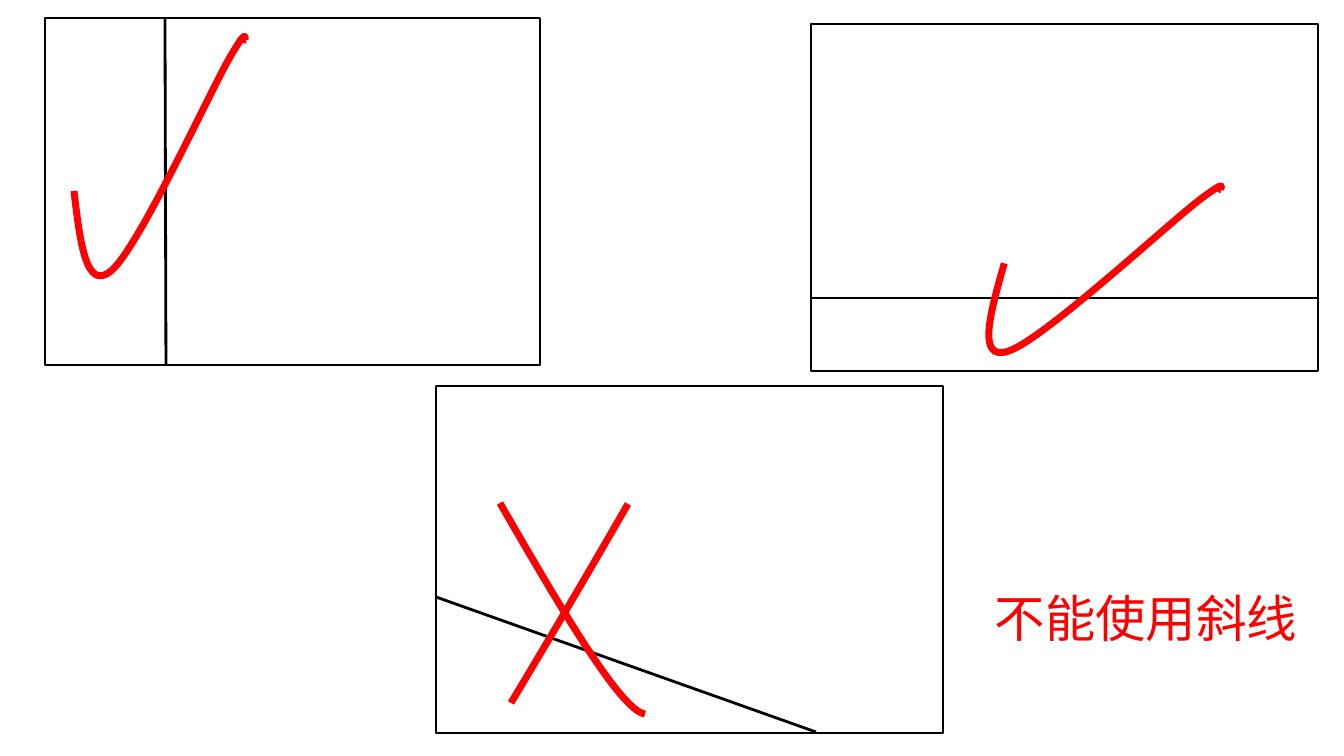
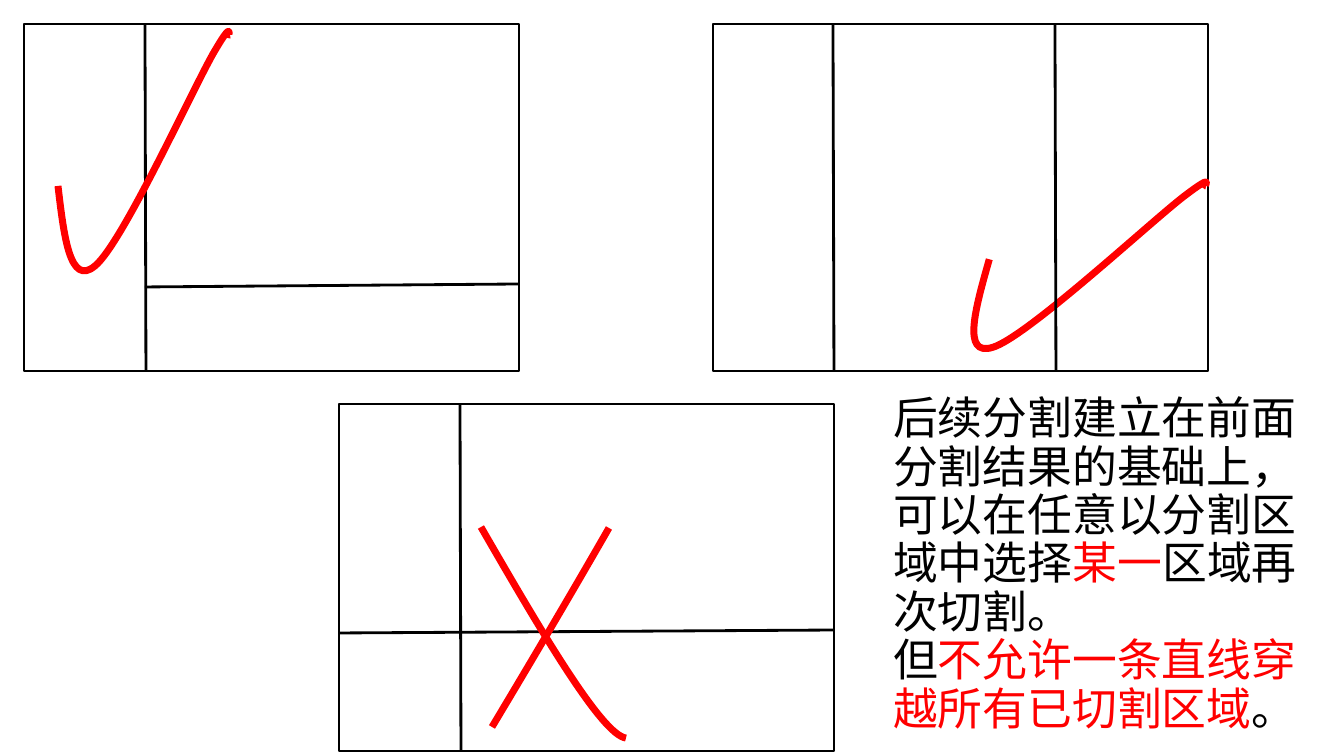
import pptx
import pptx.util
import pptx.dml.color
import pptx.enum.shapes
import pptx.enum.text
import pptx.oxml
import pptx.oxml.ns

SCALE = 914400 / 100.8
SIZE = (1344, 756)
HEX = {"ink": "000000", "red": "FF0000"}
THIN, THICK = 2, 5
WIDE, SLIM, TALL = 507, 495, 347
TILT = 22.6

# Each stroke: left, top, width, height, start point, cubic curves
TICK = [(0, 0, 172, 239, (0, 154), [
    ((6, 205), (12, 255), (37, 234)),
    ((64, 212), (133, 61), (155, 22)),
    ((177, -16), (169, 6), (172, 3))])]
CROSS = [
    (0, 0, 145, 211, (0, 0), [((60, 104), (121, 208), (145, 211))]),
    (11, 1, 117, 199, (117, 0), [((70, 82), (21, 164), (0, 199))])]

ALIGN = pptx.enum.text.PP_ALIGN
SLIDES = [
    {"items": [
        ("frame", 436, 386, WIDE, []),
        ("frame", 45, 18, SLIM, [(165, 18, 166, 364)]),
        ("frame", 811, 24, WIDE, [(1319, 298, 811, 298)]),
        ("cut", 816, 732, 436, 597),
        ("mark", 74, 37, TICK, 0),
        ("mark", 1011, 145, TICK, TILT),
        ("mark", 500, 503, CROSS, 0)],
     "box": (972, 586, 348, 70), "size": 36, "align": ALIGN.CENTER,
     "text": [[("不能使用斜线", "red")]]},
    {"items": [
        ("frame", 24, 24, SLIM, [(145, 24, 146, 371)]),
        ("frame", 713, 24, SLIM, [(833, 24, 834, 371)]),
        ("mark", 58, 32, TICK, 0),
        ("mark", 996, 141, TICK, TILT),
        ("cut", 1055, 24, 1056, 371),
        ("cut", 519, 284, 145, 287),
        ("frame", 339, 404, SLIM, [(460, 404, 461, 750)]),
        ("cut", 835, 630, 339, 633),
        ("mark", 481, 527, CROSS, 0)],
     "box": (883, 393, 442, 345), "size": 32, "align": ALIGN.LEFT,
     "text": [
         [("后续分割建立在前面分割结果的基础上，可以在任意以分割区域中选择", "ink"),
          ("某一", "red"), ("区域再次切割。", "ink")],
         [("但", "ink"), ("不允许一条直线穿越所有已切割区域", "red"), ("。", "ink")]]},
]


def px(*nums):
    return [pptx.util.Emu(round(n * SCALE)) for n in nums]


def tint(hue):
    return pptx.dml.color.RGBColor.from_string(HEX[hue])


def style(thing, values):
    for name, value in values.items():
        setattr(thing, name, value)


def pen(shape, hue, width):
    shape.line.color.rgb = tint(hue)
    shape.line.width = pptx.util.Pt(width)


def node(tag, *spots):
    """Make a drawing element that holds the given points."""
    pts = "".join('<a:pt x="%d" y="%d"/>' % spot for spot in spots)
    return pptx.oxml.parse_xml("<a:%s %s>%s</a:%s>" % (
        tag, pptx.oxml.ns.nsdecls("a"), pts, tag))


def cut(shapes, *ends):
    kind = pptx.enum.shapes.MSO_CONNECTOR.STRAIGHT
    line = shapes.add_connector(kind, *px(*ends))
    pen(line, "ink", THIN)
    line._element.spPr.append(node("effectLst"))


def frame(shapes, left, top, width, cuts):
    if cuts:
        shapes = shapes.add_group_shape().shapes
    kind = pptx.enum.shapes.MSO_SHAPE.RECTANGLE
    rect = shapes.add_shape(kind, *px(left, top, width, TALL))
    rect.shadow.inherit = False
    rect.fill.background()
    pen(rect, "ink", THIN)
    for ends in cuts:
        cut(shapes, *ends)


def curve(shape, start, bends):
    """Replace the straight outline of a freeform by cubic curves."""
    track = shape._element.find(".//" + pptx.oxml.ns.qn("a:path"))
    for old in list(track):
        track.remove(old)
    track.append(node("moveTo", start))
    for bend in bends:
        track.append(node("cubicBezTo", *bend))


def mark(shapes, left, top, strokes, turn):
    if len(strokes) > 1:
        shapes = shapes.add_group_shape().shapes
    for dx, dy, width, height, start, bends in strokes:
        x, y = left + dx, top + dy
        form = shapes.build_freeform(x, y, scale=SCALE)
        form.add_line_segments([(x + width, y + height)], close=False)
        shape = form.convert_to_shape()
        curve(shape, start, bends)
        shape.shadow.inherit = False
        shape.fill.background()
        pen(shape, "red", THICK)
        shape.rotation = turn


def write(title, page):
    style(title, dict(zip(("left", "top", "width", "height"), px(*page["box"]))))
    body = title.text_frame
    style(body, {"word_wrap": True,
                 "auto_size": pptx.enum.text.MSO_AUTO_SIZE.NONE,
                 "vertical_anchor": pptx.enum.text.MSO_ANCHOR.MIDDLE})
    lines = {"alignment": page["align"], "line_spacing": 0.9}
    font = {"name": "Calibri", "size": pptx.util.Pt(page["size"])}
    for i, runs in enumerate(page["text"]):
        para = body.add_paragraph() if i else body.paragraphs[0]
        style(para, lines)
        for text, hue in runs:
            run = para.add_run()
            run.text = text
            style(run.font, font)
            run.font.color.rgb = tint(hue)


def main():
    draw = {"frame": frame, "cut": cut, "mark": mark}
    deck = pptx.Presentation()
    deck.slide_width, deck.slide_height = px(*SIZE)
    for page in SLIDES:
        slide = deck.slides.add_slide(deck.slide_layouts[5])
        write(slide.shapes.title, page)
        for kind, *args in page["items"]:
            draw[kind](slide.shapes, *args)
    deck.save("out.pptx")


if __name__ == "__main__":
    main()
